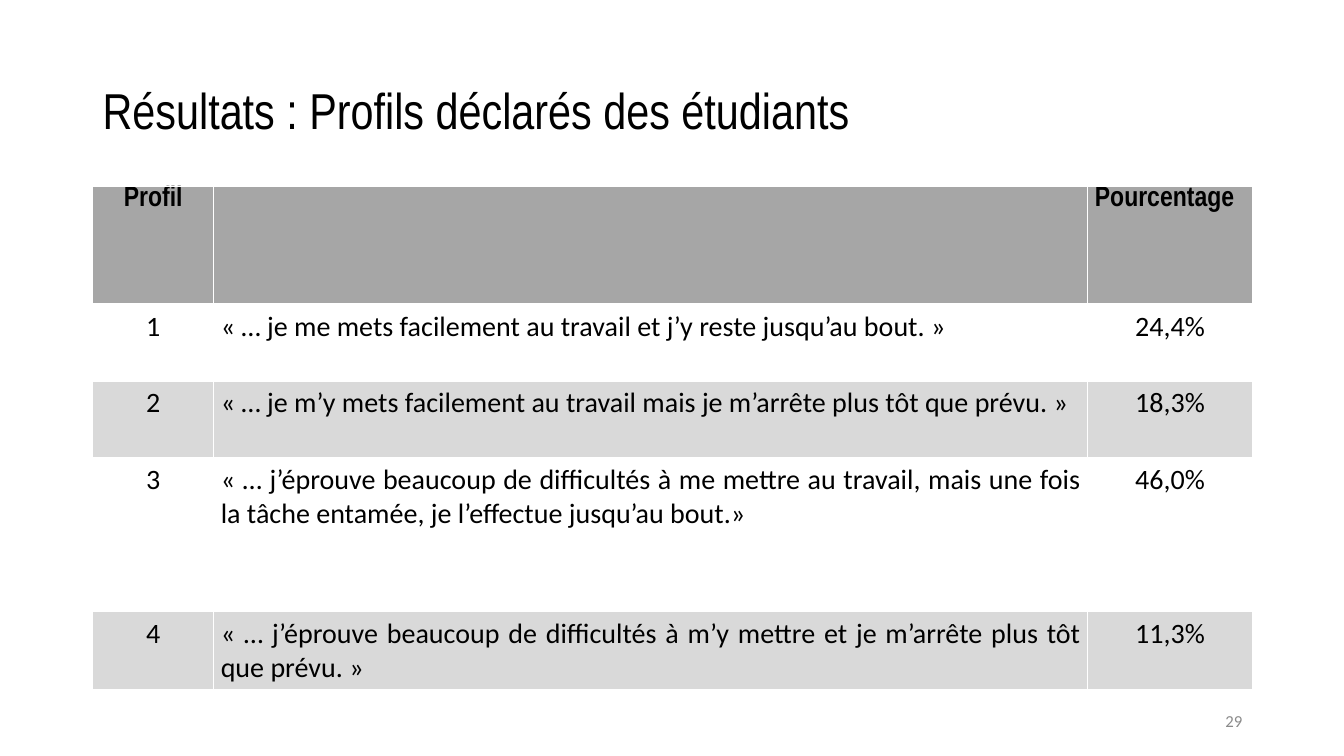
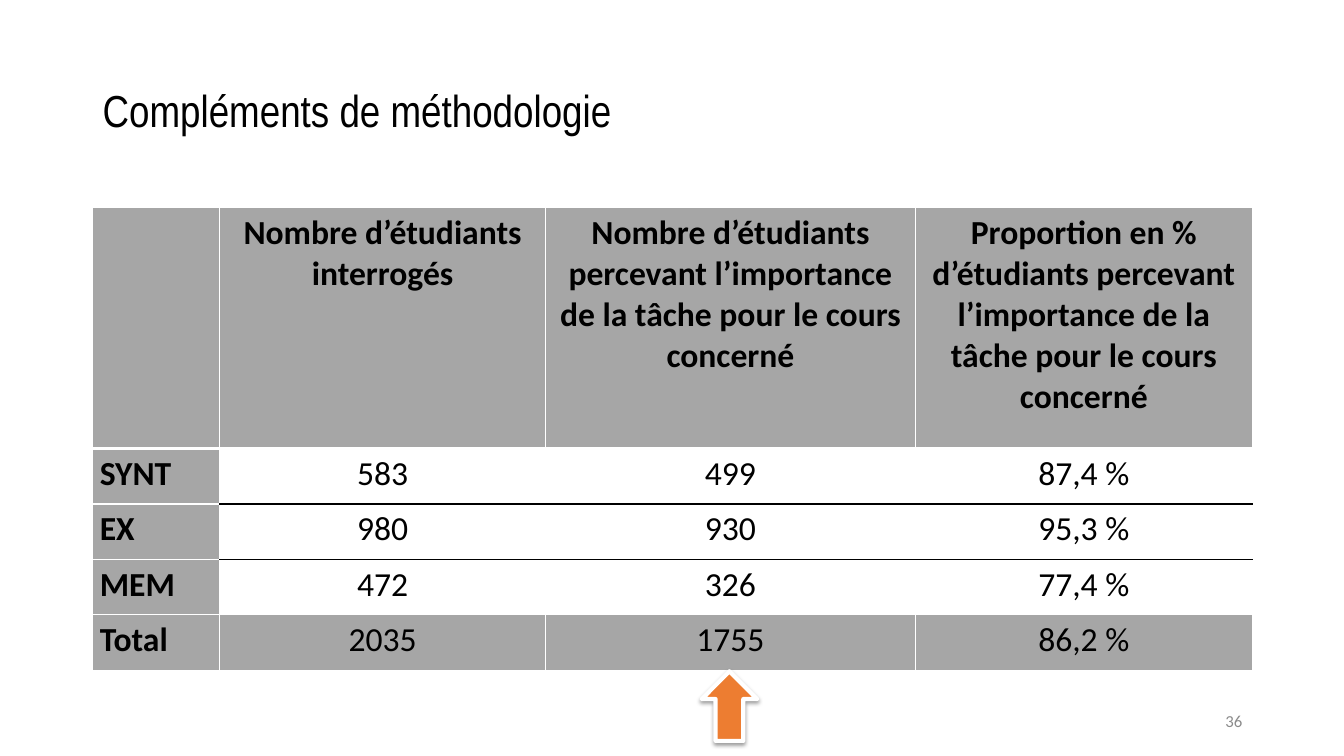
import pptx
import pptx.util
import pptx.dml.color
import pptx.enum.shapes
import pptx.enum.text
from lxml import etree
from pptx.oxml.ns import qn

Inches, Pt = pptx.util.Inches, pptx.util.Pt
ALIGN = pptx.enum.text.PP_ALIGN
ANCHOR = pptx.enum.text.MSO_ANCHOR

# Shared look
BLACK, WHITE, ORANGE = "000000", "FFFFFF", "ED7D31"
HEAD_GREY, BAND_GREY, NUMBER_GREY = "A6A6A6", "D9D9D9", "8B8B8B"
TITLE_FONT, BODY_FONT = "Arial Narrow", "Calibri"
LEFT, WIDTH = 0.92, 11.5
THIN, THICK = 0.96, 3

PROFILES = [
    ("Profil", "", "Pourcentage"),
    ("1", "« … je me mets facilement au travail et j’y reste jusqu’au bout. »", "24,4%"),
    ("2", "« … je m’y mets facilement au travail mais je m’arrête plus tôt que prévu. »", "18,3%"),
    ("3", "« … j’éprouve beaucoup de difficultés à me mettre au travail, mais une fois "
          "la tâche entamée, je l’effectue jusqu’au bout.»", "46,0%"),
    ("4", "« … j’éprouve beaucoup de difficultés à m’y mettre et je m’arrête plus tôt "
          "que prévu. »", "11,3%"),
]
TASKS = [
    ("", "Nombre d’étudiants interrogés",
     "Nombre d’étudiants percevant l’importance de la tâche pour le cours concerné",
     "Proportion en % d’étudiants percevant l’importance de la tâche pour le cours concerné"),
    ("SYNT", "583", "499", "87,4 %"),
    ("EX", "980", "930", "95,3 %"),
    ("MEM", "472", "326", "77,4 %"),
    ("Total", "2035", "1755", "86,2 %"),
]


def rgb(color):
    return pptx.dml.color.RGBColor.from_string(color)


def write(tf, text, size, font, color=BLACK, align=ALIGN.LEFT, bold=False):
    p = tf.paragraphs[0]
    p.text = text
    p.alignment = align
    for r in p.runs:
        r.font.size, r.font.name, r.font.bold = Pt(size), font, bold
        r.font.color.rgb = rgb(color)
    return p


def add_text(s, box, *args, **kwargs):
    tf = s.shapes.add_textbox(*map(Inches, box)).text_frame
    tf.word_wrap = True
    tf.vertical_anchor = ANCHOR.MIDDLE
    return write(tf, *args, **kwargs)


def add_slide(prs, title, title_size, number):
    s = prs.slides.add_slide(prs.slide_layouts[6])
    p = add_text(s, (LEFT, 0.4, WIDTH, 1.45), title, title_size, TITLE_FONT)
    p.line_spacing = 0.9
    add_text(s, (9.42, 6.95, 3, 0.4), number, 12, BODY_FONT, NUMBER_GREY, ALIGN.RIGHT)
    return s


def set_borders(cell, top=(WHITE, THIN), bottom=(WHITE, THIN)):
    side = (WHITE, THIN)
    tcPr = cell._tc.get_or_add_tcPr()
    for edge, (color, width) in zip("LRTB", (side, side, top, bottom)):
        ln = etree.SubElement(tcPr, qn("a:ln" + edge), w=str(Pt(width)))
        fill = etree.SubElement(ln, qn("a:solidFill"))
        etree.SubElement(fill, qn("a:srgbClr"), val=color)


def set_fill(cell, color):
    if color:
        cell.fill.solid()
        cell.fill.fore_color.rgb = rgb(color)
    else:
        cell.fill.background()


def add_table(s, top, widths, heights, rows, style_cell):
    """style_cell(row, col) gives the text format, fill, borders and top inset."""
    table = s.shapes.add_table(len(rows), len(widths), Inches(LEFT), Inches(top),
                               Inches(WIDTH), Inches(sum(heights))).table
    table.first_row = table.horz_banding = False
    for column, width in zip(table.columns, widths):
        column.width = Inches(width)
    for row, height in zip(table.rows, heights):
        row.height = Inches(height)
    for i, texts in enumerate(rows):
        for j, text in enumerate(texts):
            cell = table.cell(i, j)
            text_format, fill, borders, inset = style_cell(i, j)
            cell.margin_left = cell.margin_right = Inches(0.07)
            cell.margin_top, cell.margin_bottom = Inches(inset), Inches(0.05)
            write(cell.text_frame, text, **text_format)
            set_borders(cell, **borders)
            set_fill(cell, fill)


def profile_style(i, j):
    head = i == 0
    justified = j == 1 or (head and j == 2)
    text_format = dict(size=20, font=TITLE_FONT if head else BODY_FONT, bold=head,
                       align=ALIGN.JUSTIFY if justified else ALIGN.CENTER)
    fill = HEAD_GREY if head else (None if i % 2 else BAND_GREY)
    borders = {"bottom": (WHITE, THICK)} if head else {}
    if i == 1:
        borders["top"] = (WHITE, THICK)
    return text_format, fill, borders, 0 if head else 0.05


def task_style(i, j):
    head, label, total = i == 0, j == 0, i == len(TASKS) - 1
    text_format = dict(size=24, font=BODY_FONT, bold=head or label,
                       align=ALIGN.LEFT if label else ALIGN.CENTER)
    fill = HEAD_GREY if head or label or total else None
    borders = {}
    if head:
        borders["bottom"] = (WHITE, THICK)
    elif i == 1:
        borders["top"] = (WHITE, THICK)
    # Black rules separate the task rows
    if not label and i in (1, 2):
        borders["bottom"] = (BLACK, THIN)
    if not label and i in (2, 3):
        borders["top"] = (BLACK, THIN)
    return text_format, fill, borders, 0.05


def add_up_arrow(s, box):
    sp = s.shapes.add_shape(pptx.enum.shapes.MSO_SHAPE.RIGHT_ARROW, *map(Inches, box))
    sp.rotation = 270
    sp.fill.solid()
    sp.fill.fore_color.rgb = rgb(ORANGE)
    sp.line.color.rgb = rgb(WHITE)
    sp.line.width = Pt(3)
    # Soft shadow falling downwards
    sp.shadow.inherit = False
    effects = sp._element.spPr.find(qn("a:effectLst"))
    shadow = etree.SubElement(effects, qn("a:outerShdw"), blurRad=str(Pt(3.1)),
                              dist=str(Pt(1.6)), dir="5400000", rotWithShape="0")
    color = etree.SubElement(shadow, qn("a:srgbClr"), val=BLACK)
    etree.SubElement(color, qn("a:alpha"), val="38000")


def main():
    prs = pptx.Presentation()
    prs.slide_width, prs.slide_height = Inches(13.33), Inches(7.5)

    # Student profiles
    s = add_slide(prs, "Résultats : Profils déclarés des étudiants", 36, "29")
    add_table(s, 1.85, (1.2, 8.67, 1.63), (1.17, 0.76, 0.76, 1.53, 0.76),
              PROFILES, profile_style)

    # Perceived importance by task
    s = add_slide(prs, "Compléments de méthodologie", 32, "36")
    add_table(s, 2.06, (1.26, 3.23, 3.67, 3.34), (2.39,) + (0.55,) * 4,
              TASKS, task_style)
    add_up_arrow(s, (6.89, 6.73, 0.69, 0.55))

    prs.save("out.pptx")


if __name__ == "__main__":
    main()
